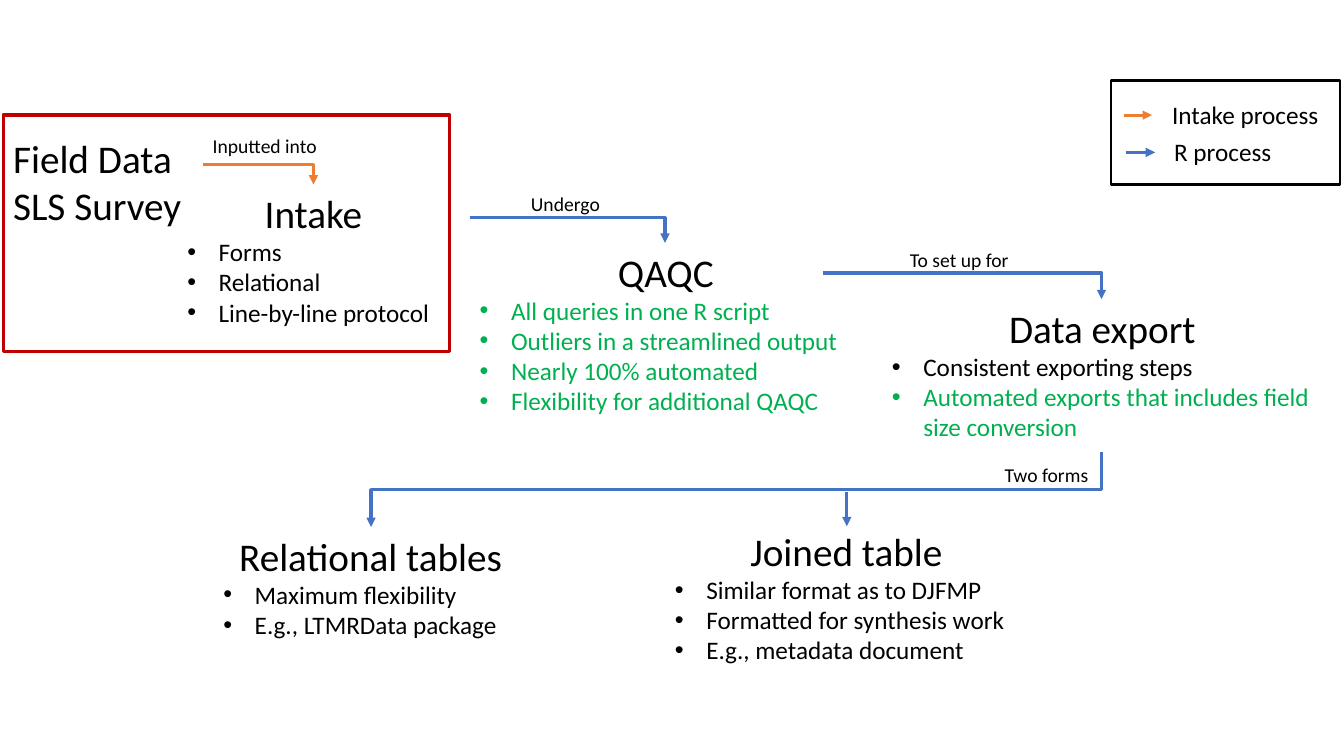
from pptx import Presentation
from pptx.dml.color import RGBColor
from pptx.enum.shapes import MSO_CONNECTOR, MSO_SHAPE
from pptx.enum.text import MSO_AUTO_SIZE, PP_ALIGN
from pptx.oxml.ns import qn
from pptx.oxml.xmlchemy import OxmlElement
from pptx.util import Cm, Pt

STRAIGHT, ELBOW = MSO_CONNECTOR.STRAIGHT, MSO_CONNECTOR.ELBOW
RECT = MSO_SHAPE.RECTANGLE
FIT = MSO_AUTO_SIZE.SHAPE_TO_FIT_TEXT
CENTER = PP_ALIGN.CENTER
FONT = "Calibri"
BLACK, GREEN, RED = "000000", "00B050", "C00000"
BLUE, ORANGE = "4472C4", "ED7D31"
INDENT = Cm(0.79)

# Heading, position and size in cm, wrap, bullets with colours
STEPS = [
    ("QAQC", (11.84, 6.12, 9.88, 4.65), False, [
        ("All queries in one R script", GREEN),
        ("Outliers in a streamlined output", GREEN),
        ("Nearly 100% automated", GREEN),
        ("Flexibility for additional QAQC", GREEN)]),
    ("Relational tables", (5.38, 13.28, 7.92, 3.07), False, [
        ("Maximum flexibility", BLACK),
        ("E.g., LTMRData package", BLACK)]),
    ("Joined table", (16.76, 13.16, 9.14, 3.86), False, [
        ("Similar format as to DJFMP", BLACK),
        ("Formatted for synthesis work", BLACK),
        ("E.g., metadata document", BLACK)]),
    ("Data export", (22.23, 7.54, 11.1, 3.86), True, [
        ("Consistent exporting steps", BLACK),
        ("Automated exports that includes field size conversion", GREEN)]),
    ("Intake", (4.47, 4.65, 6.86, 4.65), False, [
        ("Forms", BLACK),
        ("Relational", BLACK),
        ("Line-by-line protocol", BLACK)]),
]
LABELS = [
    ("Inputted into", (5.11, 3.25, 3.25, 0.89), 14),
    ("Undergo", (13.13, 4.72, 2.34, 0.89), 14),
    ("To set up for", (22.68, 6.12, 3.12, 0.89), 14),
    ("Two forms", (25.07, 11.53, 2.69, 0.89), 14),
    ("Intake process", (29.29, 2.39, 4.47, 1.04), 18),
    ("R process", (29.34, 3.3, 3.07, 1.04), 18),
]
CORNERS = [
    ((11.84, 5.49, 16.76, 6.12), BLUE),
    ((20.73, 6.88, 27.76, 7.54), BLUE),
    ((5.11, 4.14, 7.9, 4.65), ORANGE),
]
ARROWS = [
    ((21.34, 12.4, 21.34, 13.26), BLUE),
    ((28.32, 2.9, 29.03, 2.9), ORANGE),
    ((28.37, 3.84, 29.11, 3.84), BLUE),
]


def paint(color, value):
    color.rgb = RGBColor.from_string(value)


def add_box(slide, place, wrap=False):
    frame = slide.shapes.add_textbox(*map(Cm, place)).text_frame
    frame.word_wrap = wrap
    frame.auto_size = FIT
    return frame


def add_line(frame, first, text, size, color=BLACK):
    """Write one paragraph, using the frame's own one if it is the first."""
    para = frame.paragraphs[0] if first else frame.add_paragraph()
    run = para.add_run()
    run.text = text
    run.font.name = FONT
    run.font.size = Pt(size)
    paint(run.font.color, color)
    return para


def add_bullet(para):
    props = para._p.get_or_add_pPr()
    props.set("marL", str(INDENT))
    props.set("indent", str(-INDENT))
    face = OxmlElement("a:buFont")
    face.set("typeface", "Arial")
    mark = OxmlElement("a:buChar")
    mark.set("char", "•")
    props.extend([face, mark])


def add_step(slide, head, place, wrap, items):
    frame = add_box(slide, place, wrap)
    add_line(frame, True, head, 28).alignment = CENTER
    for text, color in items:
        add_bullet(add_line(frame, False, text, 18, color))


def add_text(slide, lines, place, size):
    frame = add_box(slide, place)
    for index, text in enumerate(lines):
        add_line(frame, index == 0, text, size)


def add_arrow(slide, ends, color, kind=STRAIGHT):
    arrow = slide.shapes.add_connector(kind, *map(Cm, ends))
    arrow.line.width = Pt(2.25)
    paint(arrow.line.color, color)
    tail = OxmlElement("a:tailEnd")
    tail.set("type", "triangle")
    props = arrow._element.spPr
    props.find(qn("a:ln")).append(tail)
    props.append(OxmlElement("a:effectLst"))
    return arrow


def add_corner(slide, ends, color):
    """Arrow that runs across and then down, with a single bend."""
    arrow = add_arrow(slide, ends, color, ELBOW)
    arrow._element.spPr.find(qn("a:prstGeom")).set("prst", "bentConnector2")


def add_fork(slide, right, top, left, low, color):
    """Arrow that runs down, across to the left and down again."""
    mid_x, mid_y = (left + right) / 2, (top + low) / 2
    half_w, half_h = (low - top) / 2, (right - left) / 2
    ends = (mid_x - half_w, mid_y - half_h, mid_x + half_w, mid_y + half_h)
    arrow = add_arrow(slide, ends, color, ELBOW)
    arrow._element.spPr.find(qn("a:xfrm")).set("rot", str(90 * 60000))


def add_frame(slide, place, color, width):
    shape = slide.shapes.add_shape(RECT, *map(Cm, place))
    shape.shadow.inherit = False
    shape.fill.background()
    paint(shape.line.color, color)
    shape.line.width = Pt(width)


def main():
    deck = Presentation()
    deck.slide_width, deck.slide_height = Cm(33.87), Cm(19.05)
    slide = deck.slides.add_slide(deck.slide_layouts.get_by_name("Blank"))
    for step in STEPS:
        add_step(slide, *step)
    add_text(slide, ["Field Data", "SLS Survey"], (0.08, 3.25, 5.28, 2.64), 28)
    for text, place, size in LABELS:
        add_text(slide, [text], place, size)
    for ends, color in CORNERS:
        add_corner(slide, ends, color)
    add_fork(slide, 27.76, 11.4, 9.35, 13.28, BLUE)
    for ends, color in ARROWS:
        add_arrow(slide, ends, color)
    add_frame(slide, (27.99, 2.03, 5.79, 2.62), BLACK, 1.5)
    add_frame(slide, (0.08, 2.9, 11.25, 5.97), RED, 2.25)
    deck.save("out.pptx")


if __name__ == "__main__":
    main()
